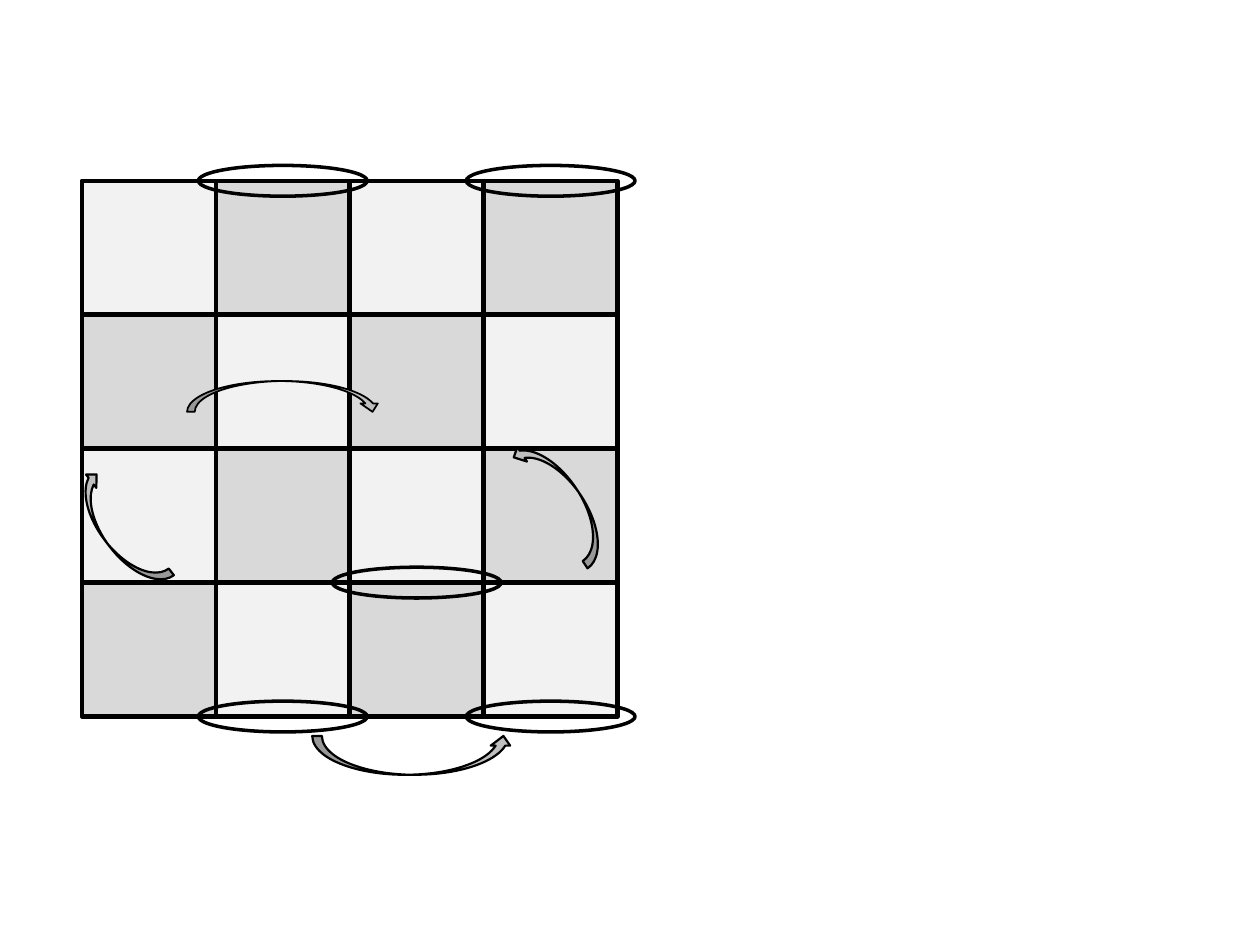
from dataclasses import dataclass
from itertools import product

from pptx import Presentation
from pptx.dml.color import RGBColor
from pptx.enum.shapes import MSO_SHAPE as Shape
from pptx.util import Inches, Pt


@dataclass(frozen=True)
class Theme:
    light: str = "F2F2F2"
    dark: str = "D9D9D9"
    arrow: str = "BFBFBF"
    line: str = "000000"
    cell_line: float = 2.5
    ring_line: float = 2
    arrow_line: float = 1.25
    thin_arrow_line: float = 1


@dataclass(frozen=True)
class Grid:
    left: float = 0.65
    top: float = 1.435
    cell: float = 1.063
    size: int = 4


@dataclass(frozen=True)
class Arrow:
    """Centre and size are in grid cells, the turn in degrees."""
    kind: Shape
    col: float
    row: float
    width: float
    height: float
    line: float
    turn: float = 0
    flip: bool = False
    adjust: tuple[float, ...] = ()


THEME = Theme()
GRID = Grid()

RING_SIZE = (1.26, 0.23)
RING_CENTRES = [(1.5, 4), (3.5, 4), (1.5, 0), (3.5, 0), (2.5, 3)]

ARROWS = [
    Arrow(Shape.CURVED_UP_ARROW, 0.28, 2.62, 1.01, 0.25, THEME.arrow_line, 232.5, flip=True),
    Arrow(Shape.CURVED_UP_ARROW, 3.59, 2.38, 1.06, 0.26, THEME.arrow_line, 236.4),
    Arrow(Shape.CURVED_DOWN_ARROW, 1.51, 1.61, 1.45, 0.23, THEME.thin_arrow_line,
          adjust=(0.25, 0.565, 0.273)),
    Arrow(Shape.CURVED_UP_ARROW, 2.47, 4.29, 1.5, 0.29, THEME.arrow_line),
]


def add_centred(s, kind: Shape, col: float, row: float, width: float, height: float,
                line: float, fill: str | None = None):
    """Add a shape centred on a grid position, with its size in cells."""
    sp = s.shapes.add_shape(
        kind,
        Inches(GRID.left + (col - width / 2) * GRID.cell),
        Inches(GRID.top + (row - height / 2) * GRID.cell),
        Inches(width * GRID.cell),
        Inches(height * GRID.cell),
    )
    sp.shadow.inherit = False
    if fill:
        sp.fill.solid()
        sp.fill.fore_color.rgb = RGBColor.from_string(fill)
    else:
        sp.fill.background()
    sp.line.color.rgb = RGBColor.from_string(THEME.line)
    sp.line.width = Pt(line)
    return sp


def draw_board(s) -> None:
    for row, col in product(range(GRID.size), repeat=2):
        fill = THEME.dark if (row + col) % 2 else THEME.light
        add_centred(s, Shape.RECTANGLE, col + 0.5, row + 0.5, 1, 1, THEME.cell_line, fill)


def draw_arrow(s, a: Arrow) -> None:
    sp = add_centred(s, a.kind, a.col, a.row, a.width, a.height, a.line, THEME.arrow)
    sp.rotation = a.turn
    if a.flip:
        sp.element.spPr.xfrm.set("flipV", "1")
    for i, value in enumerate(a.adjust):
        sp.adjustments[i] = value


def main() -> None:
    prs = Presentation()
    prs.slide_width, prs.slide_height = Inches(10), Inches(7.5)
    s = prs.slides.add_slide(prs.slide_layouts[6])
    draw_board(s)
    for arrow in ARROWS:
        draw_arrow(s, arrow)
    for col, row in RING_CENTRES:
        add_centred(s, Shape.OVAL, col, row, *RING_SIZE, THEME.ring_line)
    prs.save("out.pptx")


if __name__ == "__main__":
    main()
